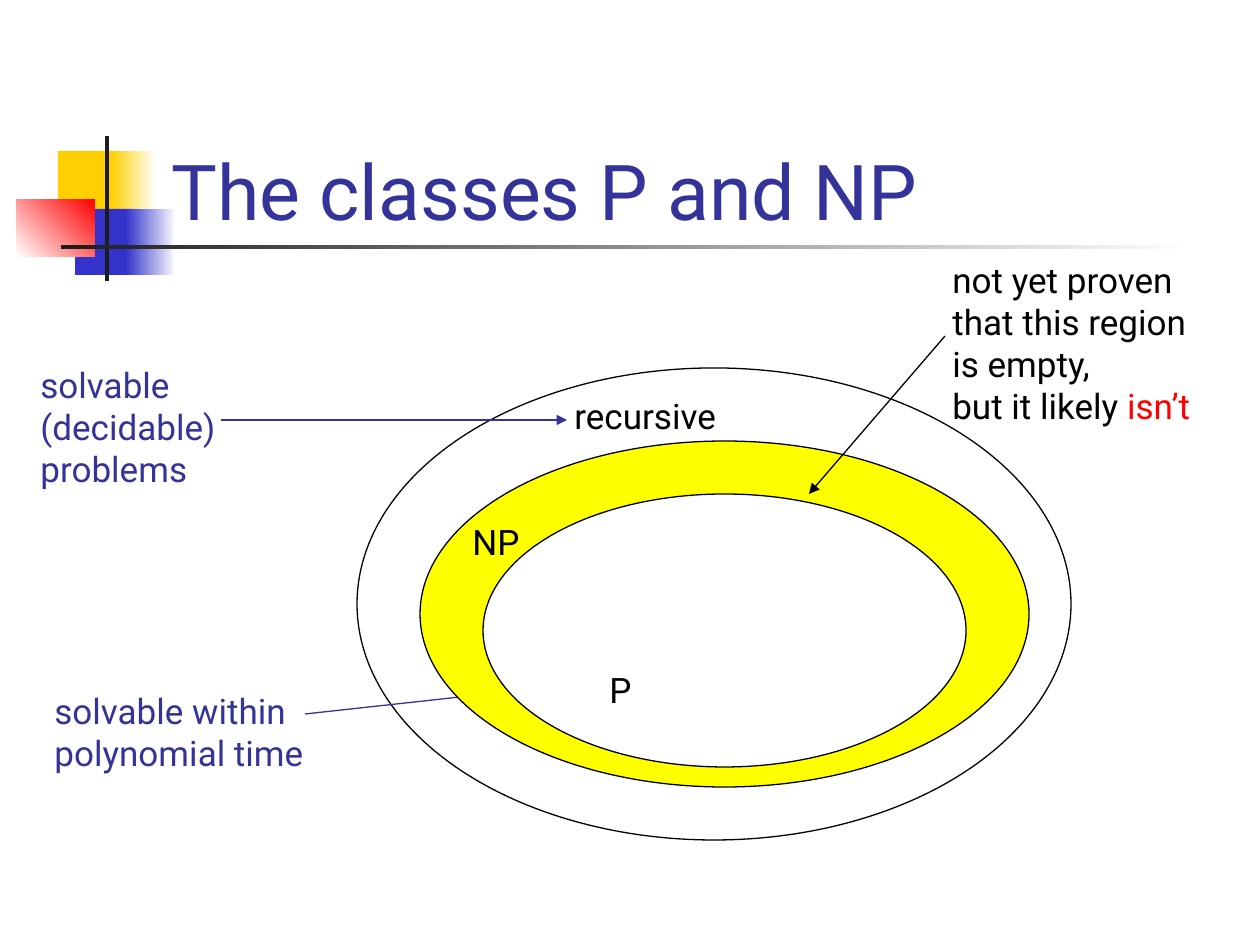
from lxml import etree
from pptx import Presentation
from pptx import util as u
from pptx.dml.color import RGBColor
from pptx.enum import shapes, text
from pptx.oxml.ns import qn

FONT = "Roboto"
C = {"gold": "FFCF01", "blue": "3333CC", "red": "FF0000", "ink": "1C1C1C",
     "navy": "333399", "black": "000000", "yellow": "FFFF00", "white": "FFFFFF"}


def px(n):
    return u.Emu(round(n * 914400 / 126))


def rgb(name):
    return RGBColor.from_string(C[name])


def add_shape(s, kind, box, fill=None, line=None, fade=None, angle=0):
    sp = s.shapes.add_shape(kind, *map(px, box))
    sp.shadow.inherit = False
    if fade:
        sp.fill.gradient()
        sp.fill.gradient_angle = angle
        for stop, position, name in zip(sp.fill.gradient_stops, (0, 1), (fill, fade)):
            stop.position = position
            stop.color.rgb = rgb(name)
    elif fill:
        sp.fill.solid()
        sp.fill.fore_color.rgb = rgb(fill)
    else:
        sp.fill.background()
    if line:
        sp.line.color.rgb = rgb(line)
        sp.line.width = u.Pt(0.75)
    else:
        sp.line.fill.background()
    return sp


def add_run(p, words, size, color):
    r = p.add_run()
    r.text = words
    r.font.name = FONT
    r.font.size = u.Pt(size)
    r.font.color.rgb = rgb(color)


def add_label(s, box, lines, color="black"):
    tf = s.shapes.add_textbox(*map(px, box)).text_frame
    tf.word_wrap = False
    tf.auto_size = text.MSO_AUTO_SIZE.SHAPE_TO_FIT_TEXT
    for i, line in enumerate(lines):
        p = tf.paragraphs[0] if i == 0 else tf.add_paragraph()
        runs = [(line, color)] if isinstance(line, str) else line
        for words, run_color in runs:
            add_run(p, words, 20, run_color)


def add_arrow(s, start, end, color):
    c = s.shapes.add_connector(shapes.MSO_CONNECTOR.STRAIGHT, *map(px, start + end))
    c.line.color.rgb = rgb(color)
    c.line.width = u.Pt(0.75)
    etree.SubElement(c.line._get_or_add_ln(), qn("a:tailEnd"), type="triangle")
    etree.SubElement(c._element.spPr, qn("a:effectLst"))


def add_ornament(s, x, y):
    parts = [
        ((41, 15, 60, 66), "gold", None, 0),
        ((94, 15, 45, 66), "gold", "white", 0),
        ((58, 73, 58, 66), "blue", None, 0),
        ((109, 73, 50, 66), "blue", "white", 0),
        ((0, 63, 78, 58), "white", "red", 45),
        ((88, 0, 4, 145), "ink", None, 0),
        ((44, 109, 1134, 4), "ink", "white", 0),
    ]
    for (left, top, w, h), fill, fade, angle in parts:
        add_shape(s, shapes.MSO_SHAPE.RECTANGLE, (x + left, y + top, w, h),
                  fill, fade=fade, angle=angle)


def add_title(s, box, words):
    sp = s.shapes.title
    sp.left, sp.top, sp.width, sp.height = map(px, box)
    tf = sp.text_frame
    tf.auto_size = text.MSO_AUTO_SIZE.NONE
    tf.vertical_anchor = text.MSO_ANCHOR.BOTTOM
    p = tf.paragraphs[0]
    p.alignment = text.PP_ALIGN.LEFT
    add_run(p, words, 44, "navy")


def add_class_diagram(s, x, y):
    def at(left, top, *size):
        return (x + left, y + top, *size)

    oval = shapes.MSO_SHAPE.OVAL
    add_shape(s, oval, at(329, 116, 714, 472), line="black")
    add_label(s, at(534, 136, 175, 55), ["recursive"])
    add_label(s, at(0, 105, 205, 139), ["solvable", "(decidable)", "problems"], "navy")
    add_arrow(s, at(193, 168), at(539, 168), "navy")
    add_label(s, at(14, 431, 291, 97), ["solvable within", "polynomial time"], "navy")
    add_arrow(s, at(277, 462), at(560, 431), "navy")
    add_shape(s, oval, at(392, 189, 609, 346), "yellow", "black")
    add_label(s, at(432, 262, 73, 55), ["NP"])
    add_label(s, at(912, 0, 280, 181),
              ["not yet proven", "that this region", "is empty,",
               [("but it likely ", "black"), ("isn’t", "red")]])
    add_arrow(s, at(917, 84), at(781, 242), "black")
    add_shape(s, oval, at(455, 242, 483, 273), "white", "black")
    add_label(s, at(569, 410, 47, 55), ["P"])


def main():
    prs = Presentation()
    prs.slide_width, prs.slide_height = px(1260), px(945)
    s = prs.slides.add_slide(prs.slide_layouts[5])
    add_ornament(s, 17, 136)
    add_title(s, (159, 84, 1074, 158), "The classes P and NP")
    add_class_diagram(s, 28, 252)
    prs.save("out.pptx")


if __name__ == "__main__":
    main()
